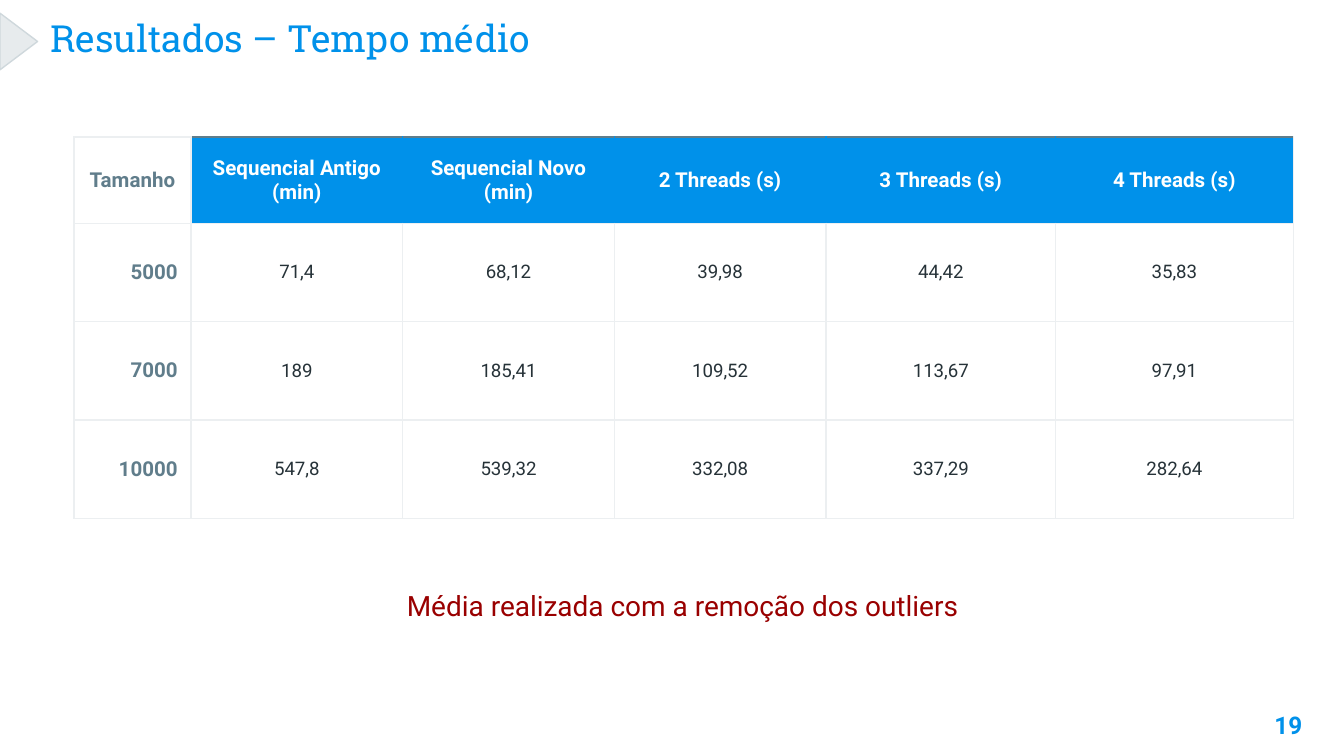
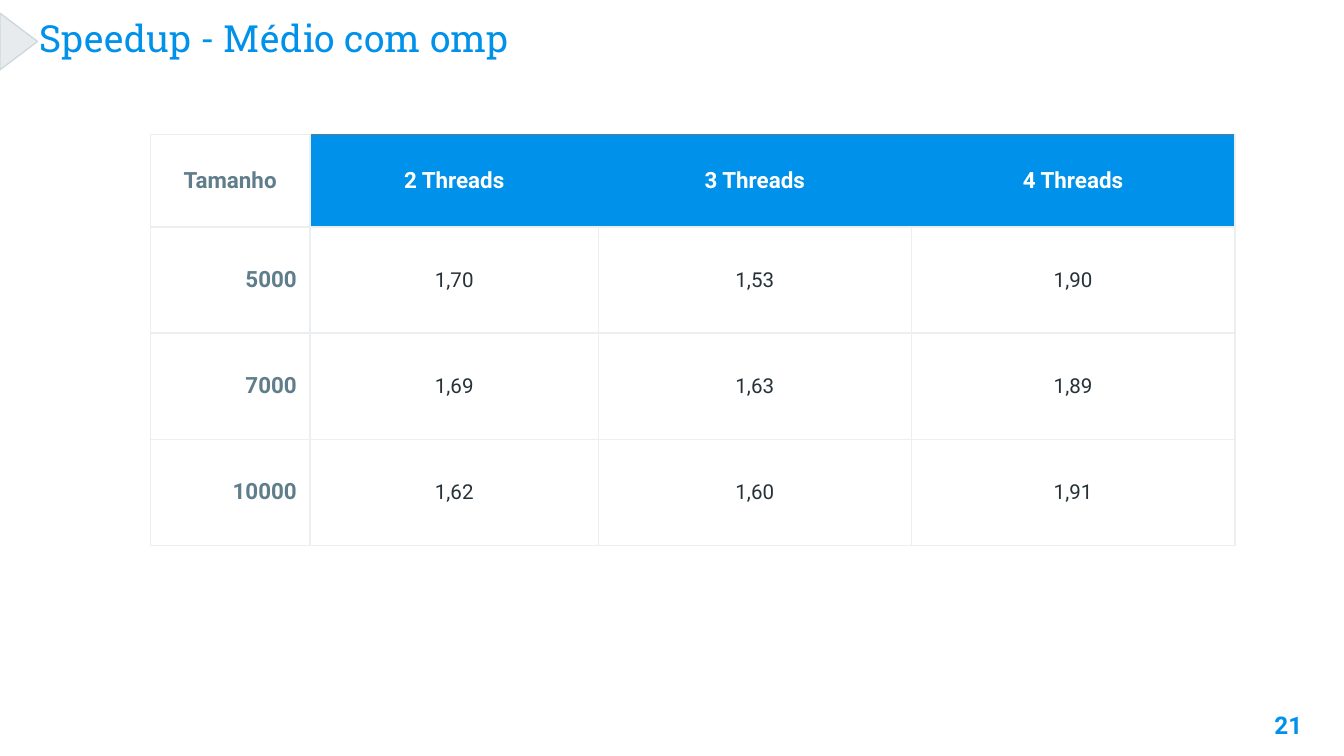
from dataclasses import dataclass

from lxml.etree import SubElement
from pptx import Presentation
from pptx.dml.color import RGBColor
from pptx.enum.shapes import MSO_SHAPE as Preset
from pptx.enum.text import MSO_ANCHOR as Anchor, PP_ALIGN as Align
from pptx.oxml.ns import qn
from pptx.util import Cm, Pt

COLORS = {
    "accent": "0091EA",
    "label": "607D8B",
    "grid": "ECEFF1",
    "marker": "CFD8DC",
    "body": "263238",
    "note": "990000",
    "white": "FFFFFF",
}
BODY_FONT = "Roboto"
TITLE_FONT = "Roboto Slab"
INSET = Cm(0.25)
LINE_WIDTH = Pt(0.75)


@dataclass
class Box:
    left: float
    top: float
    width: float
    height: float

    def lengths(self):
        return Cm(self.left), Cm(self.top), Cm(self.width), Cm(self.height)


MARKER_BOX = Box(-0.18, 0.43, 1.07, 0.71)
NUMBER_BOX = Box(23.34, 13.18, 1.52, 1.09)


def color(name):
    return RGBColor.from_string(COLORS[name])


def format_text(text_frame, size, color_name, align, bold=False, font_name=BODY_FONT):
    for paragraph in text_frame.paragraphs:
        paragraph.alignment = align
        for run in paragraph.runs:
            run.font.name = font_name
            run.font.size = Pt(size)
            run.font.bold = bold
            run.font.color.rgb = color(color_name)


def add_text(slide, box, text, size, color_name, align, anchor=Anchor.TOP, **style):
    text_frame = slide.shapes.add_textbox(*box.lengths()).text_frame
    text_frame.word_wrap = True
    text_frame.vertical_anchor = anchor
    text_frame.margin_left = text_frame.margin_right = INSET
    text_frame.margin_top = text_frame.margin_bottom = INSET
    text_frame.text = text
    format_text(text_frame, size, color_name, align, **style)
    return text_frame


def add_marker(slide, box):
    shape = slide.shapes.add_shape(Preset.ISOSCELES_TRIANGLE, *box.lengths())
    shape.rotation = 90
    shape.shadow.inherit = False
    shape.fill.solid()
    shape.fill.fore_color.rgb = color("marker")
    fill_color = shape.fill._xPr.find(qn("a:solidFill"))[0]
    SubElement(fill_color, qn("a:alpha"), val="49000")
    shape.line.color.rgb = color("marker")
    shape.line.width = LINE_WIDTH


def set_borders(cell, **border_colors):
    properties = cell._tc.get_or_add_tcPr()
    for side in "LRTB":
        line = SubElement(properties, qn(f"a:ln{side}"), w=str(LINE_WIDTH))
        fill = SubElement(line, qn("a:solidFill"))
        SubElement(fill, qn("a:srgbClr"), val=COLORS[border_colors.get(side, "grid")])


def format_cell(cell, row, column, column_count, label_size):
    cell.vertical_anchor = Anchor.MIDDLE
    cell.margin_left = cell.margin_right = INSET
    cell.margin_top = cell.margin_bottom = INSET
    if row == 0 and column > 0:
        set_borders(
            cell,
            L="grid" if column == 1 else "accent",
            R="grid" if column == column_count - 1 else "accent",
            T="label",
        )
        cell.fill.solid()
        cell.fill.fore_color.rgb = color("accent")
        format_text(cell.text_frame, label_size, "white", Align.CENTER, bold=True)
        return
    set_borders(cell)
    cell.fill.background()
    if column == 0:
        align = Align.RIGHT if row else Align.CENTER
        format_text(cell.text_frame, label_size, "label", align, bold=True)
    else:
        format_text(cell.text_frame, label_size - 1, "body", Align.CENTER)


def add_results_table(slide, box, rows, column_widths, header_height, label_size):
    column_count = len(column_widths)
    table = slide.shapes.add_table(len(rows), column_count, *box.lengths()).table
    table.first_row = table.horz_banding = False
    for column, width in zip(table.columns, column_widths):
        column.width = Cm(width)
    body_height = (box.height - header_height) / (len(rows) - 1)
    for row_index, values in enumerate(rows):
        table.rows[row_index].height = Cm(body_height if row_index else header_height)
        for column_index, value in enumerate(values):
            cell = table.cell(row_index, column_index)
            cell.text = value
            format_cell(cell, row_index, column_index, column_count, label_size)


def add_results_slide(presentation, title, title_box, number, **table):
    slide = presentation.slides.add_slide(presentation.slide_layouts[6])
    add_text(slide, NUMBER_BOX, number, 13, "accent", Align.RIGHT, bold=True)
    add_results_table(slide, **table)
    add_text(slide, title_box, title, 20, "accent", Align.LEFT,
             Anchor.BOTTOM, font_name=TITLE_FONT)
    add_marker(slide, MARKER_BOX)
    return slide


def add_note(slide, box, text):
    text_frame = add_text(slide, box, text, 15, "note", Align.CENTER)
    text_frame.paragraphs[0].space_before = Pt(6)


presentation = Presentation()
presentation.slide_width = Cm(25.4)
presentation.slide_height = Cm(14.29)

time_slide = add_results_slide(
    presentation,
    "Resultados – Tempo médio",
    Box(0.7, 0.25, 9.8, 1.14),
    "19",
    box=Box(1.4, 2.59, 23.04, 7.21),
    rows=[
        ["Tamanho", "Sequencial Antigo (min)", "Sequencial Novo (min)",
         "2 Threads (s)", "3 Threads (s)", "4 Threads (s)"],
        ["5000", "71,4", "68,12", "39,98", "44,42", "35,83"],
        ["7000", "189", "185,41", "109,52", "113,67", "97,91"],
        ["10000", "547,8", "539,32", "332,08", "337,29", "282,64"],
    ],
    column_widths=[2.21, 4, 4, 4, 4.34, 4.49],
    header_height=1.63,
    label_size=11,
)
add_note(time_slide, Box(3.56, 10.87, 18.69, 0.91),
         "Média realizada com a remoção dos outliers")

add_results_slide(
    presentation,
    "Speedup - Médio com omp",
    Box(0.5, 0.25, 9.8, 1.14),
    "21",
    box=Box(2.84, 2.54, 20.5, 7.77),
    rows=[
        ["Tamanho", "2 Threads", "3 Threads", "4 Threads"],
        ["5000", "1,70", "1,53", "1,90"],
        ["7000", "1,69", "1,63", "1,89"],
        ["10000", "1,62", "1,60", "1,91"],
    ],
    column_widths=[3.02, 5.45, 5.91, 6.12],
    header_height=1.75,
    label_size=12,
)

presentation.save("out.pptx")
